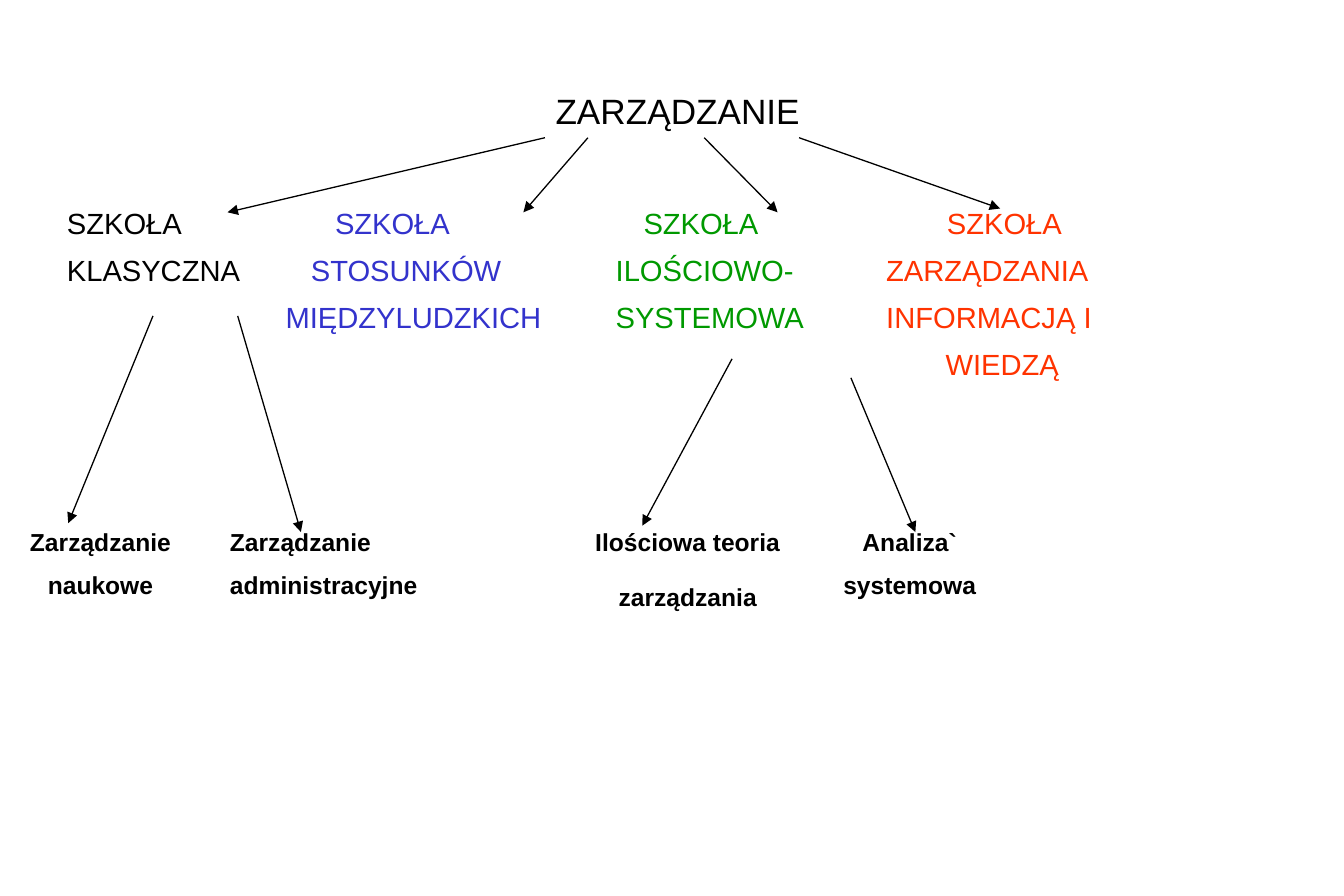
from pptx import Presentation
from pptx.dml.color import RGBColor
from pptx.enum.shapes import MSO_CONNECTOR
from pptx.enum.text import MSO_ANCHOR, MSO_AUTO_SIZE, PP_ALIGN
from pptx.util import Inches, Pt
from lxml import etree

BLACK = RGBColor(0x00, 0x00, 0x00)
BLUE = RGBColor(0x33, 0x33, 0xCC)
GREEN = RGBColor(0x00, 0x99, 0x00)
ORANGE = RGBColor(0xFF, 0x33, 0x00)
LEFT, CENTER = PP_ALIGN.LEFT, PP_ALIGN.CENTER
STRAIGHT = MSO_CONNECTOR.STRAIGHT
A = "{http://schemas.openxmlformats.org/drawingml/2006/main}"


def set_margins(frame, side, vertical):
    frame.margin_left = frame.margin_right = Inches(side)
    frame.margin_top = frame.margin_bottom = Inches(vertical)


def format_line(paragraph, text, size, color, align, spacing):
    paragraph.text = text
    paragraph.alignment = align
    paragraph.line_spacing = spacing
    paragraph.font.name = "Arial"
    paragraph.font.size = Pt(size)
    paragraph.font.color.rgb = color


prs = Presentation()
prs.slide_width, prs.slide_height = Inches(10.63), Inches(7.09)
slide = prs.slides.add_slide(prs.slide_layouts[5])

# Title
title = slide.shapes.title
title.left, title.top = Inches(2.59), Inches(0.57)
title.width, title.height = Inches(5.54), Inches(0.65)
title.text_frame.vertical_anchor = MSO_ANCHOR.MIDDLE
title.text_frame.auto_size = MSO_AUTO_SIZE.NONE
set_margins(title.text_frame, 0, 0)
format_line(title.text_frame.paragraphs[0], "ZARZĄDZANIE", 20, BLACK, CENTER, 0.93)

# Schools of management: left, width, colour, lines with their indents
schools = [
    (0.53, 1.6, BLACK, [("SZKOŁA", 0), ("KLASYCZNA", 0)]),
    (2.26, 2.3, BLUE, [("SZKOŁA", 0.39), ("STOSUNKÓW", 0.2), ("MIĘDZYLUDZKICH", 0)]),
    (4.87, 1.8, GREEN, [("SZKOŁA", 0.22), ("ILOŚCIOWO-", 0), ("SYSTEMOWA", 0)]),
    (7.01, 2.2, ORANGE, [("SZKOŁA", 0.48), ("ZARZĄDZANIA", 0),
                         ("INFORMACJĄ I", 0), ("WIEDZĄ", 0.47)]),
]
for left, width, color, lines in schools:
    school = slide.shapes.add_textbox(Inches(left), Inches(1.66), Inches(width), Inches(1.5))
    frame = school.text_frame
    frame.word_wrap = True
    set_margins(frame, 0, 0.03)
    for i, (text, indent) in enumerate(lines):
        line = frame.add_paragraph() if i else frame.paragraphs[0]
        format_line(line, text, 16.6, color, LEFT, 0.74)
        line.space_after = Pt(12.1)
        line._p.get_or_add_pPr().set("marL", str(Inches(indent)))

# Arrows from the title to the schools and from the schools to their branches
arrows = [
    (4.31, 1.09, 1.8, 1.68), (4.65, 1.09, 4.14, 1.68),
    (5.57, 1.09, 6.15, 1.68), (6.32, 1.09, 7.91, 1.65),
    (1.21, 2.5, 0.54, 4.14), (1.88, 2.5, 2.38, 4.21),
    (5.79, 2.84, 5.08, 4.16), (6.73, 2.99, 7.24, 4.21),
]
for ends in arrows:
    arrow = slide.shapes.add_connector(STRAIGHT, *[Inches(v) for v in ends])
    arrow.line.color.rgb = BLACK
    arrow.line.width = Pt(0.75)
    etree.SubElement(arrow.line._get_or_add_ln(), A + "tailEnd", type="triangle")
    etree.SubElement(arrow._element.spPr, A + "effectLst")

# Branches: left, width, height, alignment, gap between lines, lines
branches = [
    (0, 1.59, 0.66, CENTER, 8.8, ["Zarządzanie", "naukowe"]),
    (1.72, 1.92, 0.66, LEFT, 8.8, ["Zarządzanie", "administracyjne"]),
    (4.61, 1.66, 0.75, CENTER, 15.7, ["Ilościowa teoria", "zarządzania"]),
    (6.15, 2.09, 0.66, CENTER, 8.8, ["Analiza`", "systemowa"]),
]
for left, width, height, align, gap, lines in branches:
    branch = slide.shapes.add_textbox(Inches(left), Inches(4.14), Inches(width), Inches(height))
    frame = branch.text_frame
    frame.word_wrap = True
    set_margins(frame, 0.1, 0.05)
    for i, text in enumerate(lines):
        line = frame.add_paragraph() if i else frame.paragraphs[0]
        format_line(line, text, 14, BLACK, align, 0.93)
        line.font.bold = True
        if i:
            line.space_before = Pt(gap)

prs.save("out.pptx")
